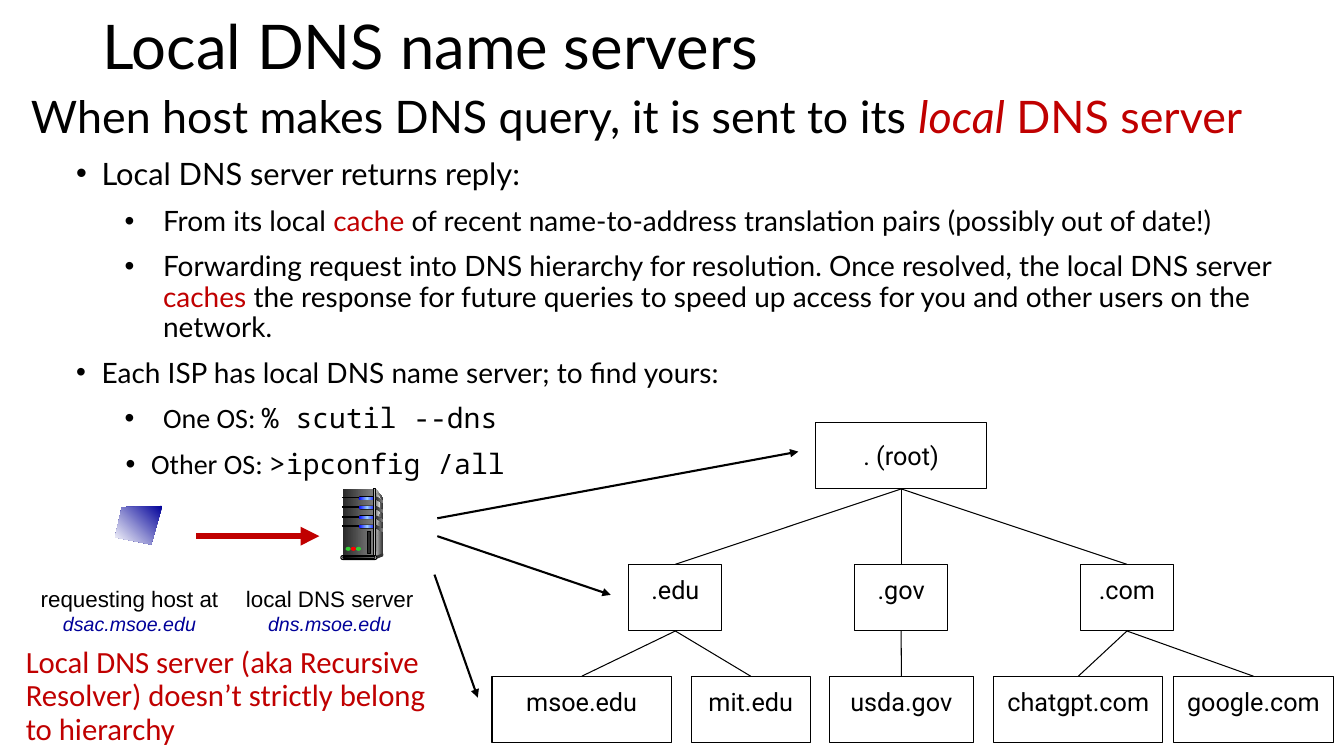
from dataclasses import dataclass
from typing import Optional

from lxml import etree
from pptx import Presentation
from pptx import util as u
from pptx.dml import color as dml
from pptx.enum import shapes as es, text as et
from pptx.oxml import ns
from pptx.shapes import autoshape as au, connector as cn
from pptx.text import text as tx


@dataclass(frozen=True)
class Theme:
    ink: str = "000000"
    red: str = "C00000"
    navy: str = "000099"
    white: str = "FFFFFF"
    dark: str = "292929"
    coal: str = "333333"
    gray: str = "808080"
    pale: str = "DDDDDD"
    shine: str = "F8F8F8"
    blue: str = "0000FF"
    sky: str = "99CCFF"
    green: str = "33CC33"
    lamp: str = "FF0000"
    main: str = "Lato"
    note: str = "Calibri"
    code: str = "Noto Sans Mono"
    tree: str = "Roboto"
    label: str = "Arial"
    title: float = 44
    lead: float = 32
    large: float = 22
    body: float = 20
    node: float = 18
    name: float = 16
    host: float = 14
    thin: float = 0.75


T = Theme()
Box = tuple[float, float, float, float]
Spot = tuple[float, float]


@dataclass(frozen=True)
class Bit:
    text: str
    color: str = T.ink
    font: str = T.main
    slant: bool = False


@dataclass(frozen=True)
class Line:
    bits: list[Bit]
    size: float = T.body
    level: int = 0
    left: float = 0
    hang: float = 0
    before: float = 0
    after: float = 0
    space: float = 1
    align: et.PP_ALIGN = et.PP_ALIGN.LEFT


@dataclass(frozen=True)
class Node:
    text: str
    left: float
    top: float
    width: float
    up: Optional[int] = None
    high: float = 1.68

    @property
    def mid(self) -> float:
        return self.left + self.width / 2


@dataclass(frozen=True)
class Arrow:
    start: Spot
    end: Spot
    color: str = T.ink
    width: float = 1.5


@dataclass(frozen=True)
class Part:
    kind: es.MSO_SHAPE
    box: Box
    fills: list[str]
    edge: bool = False


RECT, ROUND, OVAL = es.MSO_SHAPE.RECTANGLE, es.MSO_SHAPE.ROUNDED_RECTANGLE, es.MSO_SHAPE.OVAL
MID = et.PP_ALIGN.CENTER

deck = Presentation()
deck.slide_width, deck.slide_height = u.Cm(33.87), u.Cm(19.05)
slide = deck.slides.add_slide(deck.slide_layouts[5])
items = slide.shapes


def tint(text: str) -> dml.RGBColor:
    return dml.RGBColor.from_string(text)


def write(frame: tx.TextFrame, lines: list[Line]) -> None:
    for i, line in enumerate(lines):
        para = frame.add_paragraph() if i else frame.paragraphs[0]
        para.level, para.alignment, para.line_spacing = line.level, line.align, line.space
        para.space_before, para.space_after = u.Pt(line.before), u.Pt(line.after)
        props = para._p.get_or_add_pPr()
        props.set("marL", str(u.Cm(line.left)))
        props.set("indent", str(u.Cm(line.hang)))
        if line.hang:
            etree.SubElement(props, ns.qn("a:buFont"), typeface=T.label)
            etree.SubElement(props, ns.qn("a:buChar"), char="•")
        for bit in line.bits:
            run = para.add_run()
            run.text = bit.text
            run.font.name, run.font.size = bit.font, u.Pt(line.size)
            run.font.italic = bit.slant
            run.font.color.rgb = tint(bit.color)


def add_text(box: Box, lines: list[Line], wrap: bool = True) -> None:
    frame = items.add_textbox(*map(u.Cm, box)).text_frame
    frame.word_wrap = wrap
    write(frame, lines)


def paint(shape: au.Shape, fills: list[str], edge: bool = False, angle: float = 0) -> None:
    shape.shadow.inherit = False
    if not fills:
        shape.fill.background()
    elif len(fills) == 1:
        shape.fill.solid()
        shape.fill.fore_color.rgb = tint(fills[0])
    else:
        shape.fill.gradient()
        shape.fill.gradient_angle = angle
        stops = shape._element.spPr.find(".//" + ns.qn("a:gsLst"))
        stops[:] = []
        for i, fill in enumerate(fills):
            stop = etree.SubElement(stops, ns.qn("a:gs"), pos=str(100000 * i // (len(fills) - 1)))
            etree.SubElement(stop, ns.qn("a:srgbClr"), val=fill)
    if edge:
        shape.line.color.rgb = tint(T.ink)
        shape.line.width = u.Pt(T.thin)
    else:
        shape.line.fill.background()


def add_part(part: Part) -> au.Shape:
    shape = items.add_shape(part.kind, *map(u.Cm, part.box))
    if part.kind == ROUND:
        shape.adjustments[0] = 0.5
    paint(shape, part.fills, part.edge)
    return shape


def add_form(spots: list[Spot], fills: list[str], angle: float = 0) -> None:
    first, *rest = [(u.Cm(x), u.Cm(y)) for x, y in spots]
    form = items.build_freeform(*first)
    form.add_line_segments(rest)
    paint(form.convert_to_shape(), fills, angle=angle)


def link(start: Spot, end: Spot, color: str, width: float) -> cn.Connector:
    line = items.add_connector(es.MSO_CONNECTOR.STRAIGHT, *map(u.Cm, start + end))
    line.line.color.rgb, line.line.width = tint(color), u.Pt(width)
    etree.SubElement(line._element.spPr, ns.qn("a:effectLst"))
    return line


def add_arrow(arrow: Arrow) -> None:
    line = link(arrow.start, arrow.end, arrow.color, arrow.width)
    etree.SubElement(line.line._get_or_add_ln(), ns.qn("a:tailEnd"), type="triangle")


def add_node(node: Node, nodes: list[Node]) -> None:
    box = (node.left, node.top, node.width, node.high)
    frame = add_part(Part(RECT, box, [], True)).text_frame
    frame.margin_left = frame.margin_right = frame.margin_top = frame.margin_bottom = u.Cm(0.25)
    frame.word_wrap = True
    frame.vertical_anchor = et.MSO_ANCHOR.MIDDLE if node.up is None else et.MSO_ANCHOR.TOP
    write(frame, [Line([Bit(node.text, font=T.tree)], T.node, align=MID)])
    if node.up is not None:
        top = nodes[node.up]
        link((top.mid, top.top + top.high), (node.mid, node.top), T.ink, T.thin)


def point(level: int, bits: list[Bit], size: float = T.body, left: float = 3.48, hang: float = -0.97) -> Line:
    return Line(bits, size, level, left, hang, 5, 6, 0.9)


def add_server() -> None:
    add_form([(9.47, 12.32), (9.65, 12.55), (9.65, 13.94), (9.42, 14.02)], [T.pale, T.coal])
    add_part(Part(RECT, (8.64, 12.32, 0.79, 1.7), [T.dark, T.gray]))
    add_form([(9.47, 12.42), (9.6, 12.57), (9.52, 13.2), (9.47, 14)], [T.gray, T.shine])
    bays = [12.5 + 0.24 * i for i in range(4)]
    for y in bays:
        add_part(Part(RECT, (8.64, y + 0.03, 0.46, 0.02), [T.ink], True))
        add_part(Part(ROUND, (9.04, y, 0.43, 0.1), [T.ink]))
        add_part(Part(ROUND, (9.04, y + 0.02, 0.43, 0.07), [T.blue, T.sky, T.blue]))
    add_part(Part(RECT, (9.42, 12.32, 0.05, 1.7), [T.coal, T.pale, T.coal], True))
    for y in bays:
        add_form([(9.46, y + 0.01), (9.65, y + 0.11), (9.65, y + 0.18), (9.46, y + 0.08)], [T.dark, T.gray])
    add_form([(9.45, 14.02), (9.45, 14.1), (9.65, 14.02), (9.65, 13.94)], [T.coal])
    for part in [
        Part(OVAL, (9.63, 13.94, 0.03, 0.08), [T.coal]),
        Part(ROUND, (8.59, 14, 0.91, 0.1), [T.pale], True),
        Part(ROUND, (8.64, 14.02, 0.81, 0.05), [T.ink, T.gray], True),
        Part(RECT, (9.27, 13.39, 0.08, 0.56), [T.dark], True),
    ]:
        add_part(part)
    for i, fill in enumerate([T.green, T.lamp, T.green]):
        add_part(Part(OVAL, (8.71 + 0.13 * i, 13.78, 0.13, 0.1), [fill]))


def main() -> None:
    title = items.title
    title.left, title.top, title.width, title.height = map(u.Cm, (2.33, 0, 29.21, 2.48))
    title.text_frame.vertical_anchor = et.MSO_ANCHOR.MIDDLE
    write(title.text_frame, [Line([Bit("Local DNS name servers")], T.title, space=0.9)])
    add_text((0.38, 2.26, 33.07, 11.23), [
        Line([Bit("When host makes DNS query, it is sent to its "), Bit("local", T.red, slant=True),
              Bit(" DNS server", T.red)], T.lead, left=0.15, after=6, space=0.9),
        point(1, [Bit("Local DNS server returns reply:")], T.large, 1.93, -0.64),
        point(2, [Bit("From its local "), Bit("cache", T.red),
                  Bit(" of recent name-to-address translation pairs (possibly out of date!)")]),
        point(2, [Bit("Forwarding request into DNS hierarchy for resolution. Once resolved, the local DNS server "),
                  Bit("caches", T.red),
                  Bit(" the response for future queries to speed up access for you and other users on the network.")]),
        point(1, [Bit("Each ISP has local DNS name server; to find yours:")], left=1.93, hang=-0.64),
        point(2, [Bit("One OS: ", font=T.note), Bit("% scutil --dns", font=T.code)]),
        point(2, [Bit("Other OS: ", font=T.note), Bit(">ipconfig /all", font=T.code)], left=3.18, hang=-0.64),
    ])
    nodes = [Node(". (root)", 20.55, 10.64, 4.32)]
    nodes += [Node(text, 15.85 + 5.69 * i, 14.22, 2.34, 0) for i, text in enumerate([".edu", ".gov", ".com"])]
    nodes += [Node(text, left, 17.04, width, up) for text, left, width, up in [
        ("msoe.edu", 12.4, 4.52, 1), ("mit.edu", 17.42, 3, 1), ("usda.gov", 20.9, 3.63, 2),
        ("chatgpt.com", 25.04, 4.27, 3), ("google.com", 29.57, 4.04, 3)]]
    for node in nodes:
        add_node(node, nodes)
    add_form([(4.09, 12.75), (3.07, 12.78), (2.9, 13.54), (3.81, 13.72)], [T.navy, T.white], 225)
    add_server()
    for arrow in [
        Arrow((11.02, 13.06), (20.12, 11.38)),
        Arrow((11.02, 13.51), (15.39, 14.99)),
        Arrow((10.95, 14.48), (12.04, 17.58)),
        Arrow((4.95, 13.51), (8.05, 13.51), T.red, 4.5),
    ]:
        add_arrow(arrow)
    for left, width, name, host in [(0.74, 5.05, "requesting host at", "dsac.msoe.edu"),
                                    (5.92, 4.78, "local DNS server", "dns.msoe.edu")]:
        add_text((left, 14.63, width, 1.55), [
            Line([Bit(name, font=T.label)], T.name, align=MID),
            Line([Bit(host, T.navy, T.label, True)], T.host, align=MID)], False)
    note = "Local DNS server (aka Recursive Resolver) doesn’t strictly belong to hierarchy"
    add_text((0.25, 16.18, 10.85, 2.79), [Line([Bit(note, T.red, T.note)], T.large, left=0.15, space=0.9)])
    deck.save("out.pptx")


if __name__ == "__main__":
    main()
